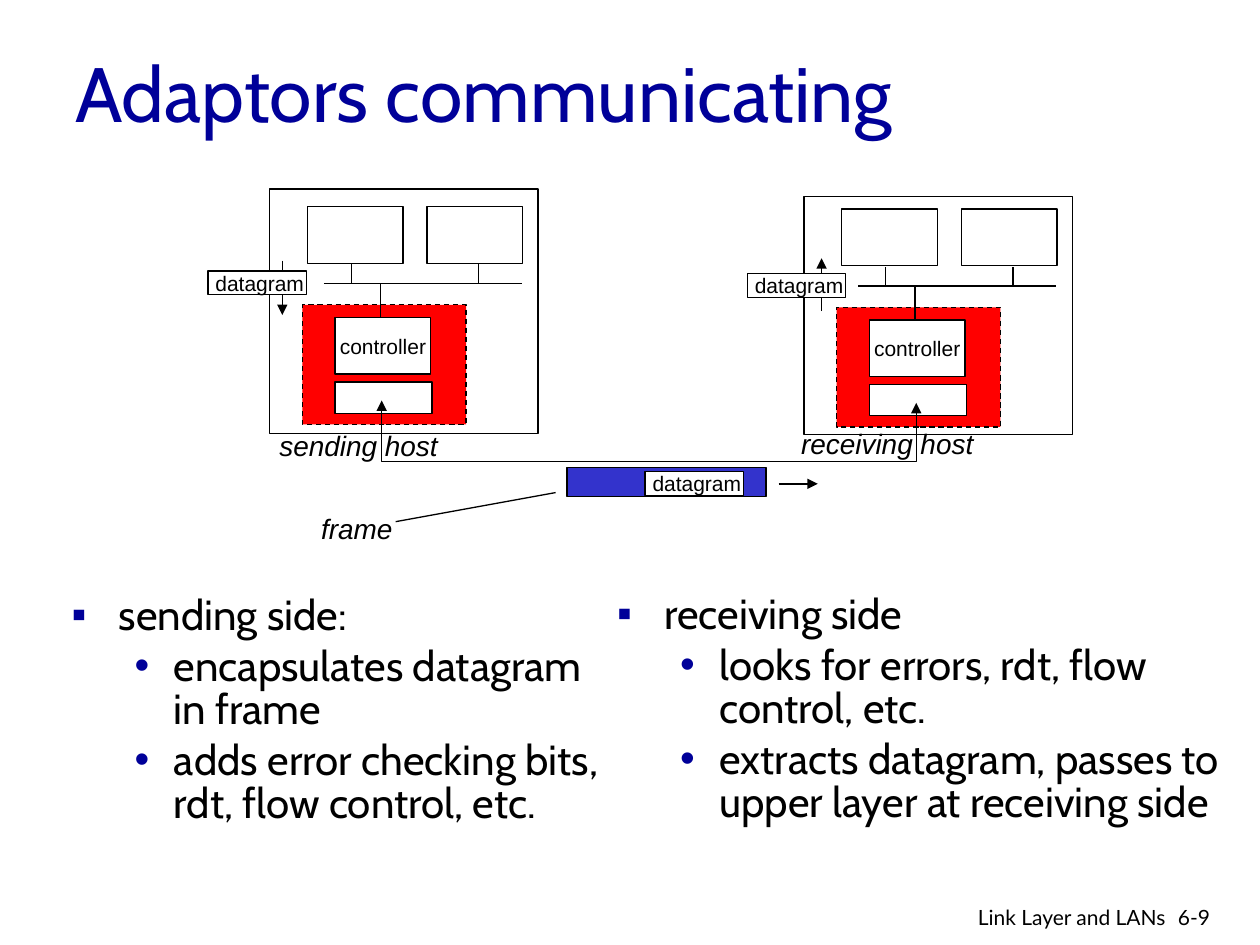
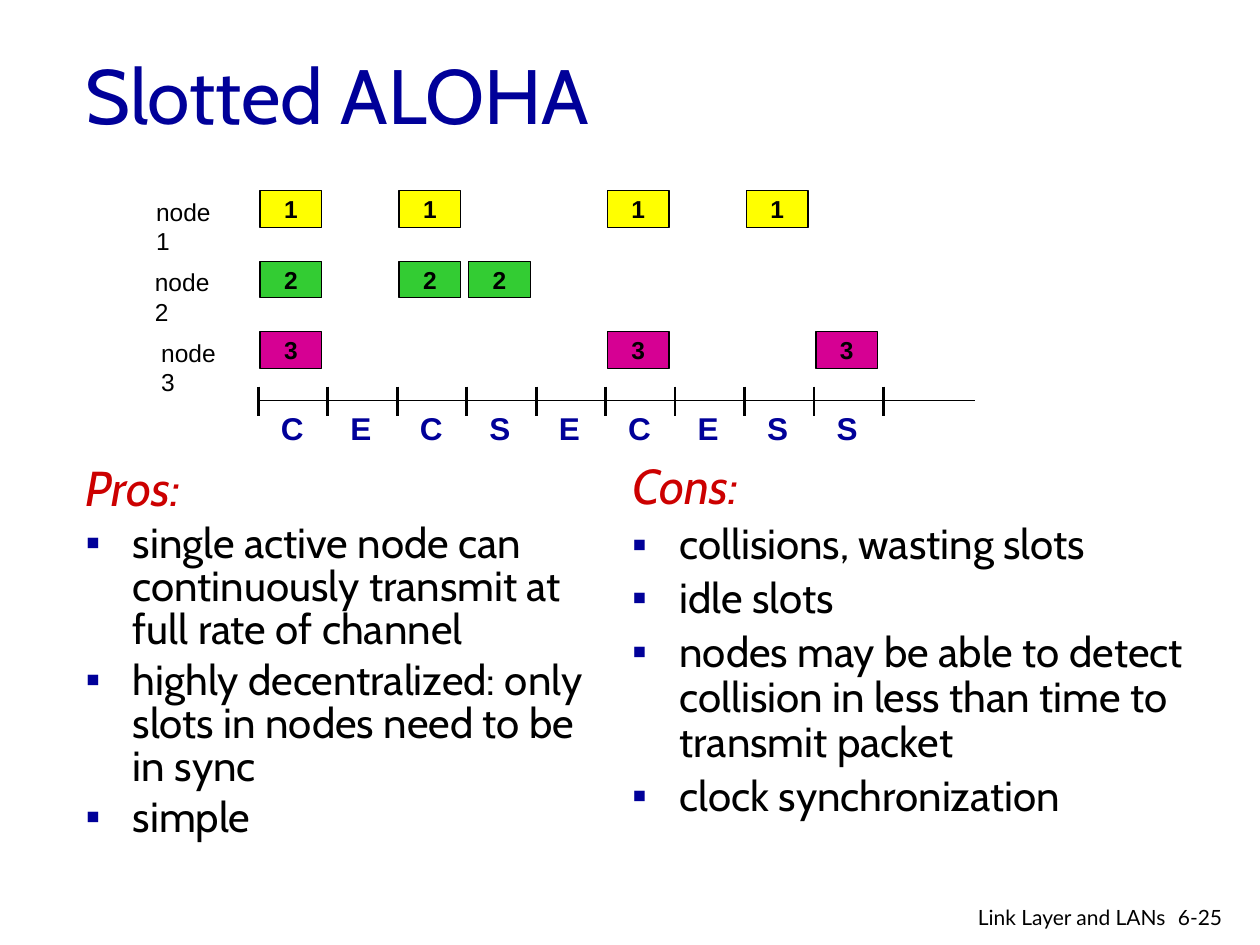
"""Build two link-layer slides: adaptors communicating and slotted ALOHA."""
from dataclasses import dataclass
from typing import Any, NamedTuple, Optional

from lxml import etree
from pptx import Presentation
from pptx.dml.color import RGBColor
from pptx.enum import dml, shapes, text
from pptx.oxml import ns
from pptx.util import Pt

NAVY = RGBColor(0x00, 0x00, 0x99)
BLACK = RGBColor(0x00, 0x00, 0x00)
WHITE = RGBColor(0xFF, 0xFF, 0xFF)
RED = RGBColor(0xFF, 0x00, 0x00)
CRIMSON = RGBColor(0xCC, 0x00, 0x00)
BLUE = RGBColor(0x33, 0x33, 0xCC)
YELLOW = RGBColor(0xFF, 0xFF, 0x00)
GREEN = RGBColor(0x33, 0xCC, 0x33)
MAGENTA = RGBColor(0xD6, 0x00, 0x93)


class Area(NamedTuple):
    """Left, top, width and height in points."""
    left: float
    top: float
    width: float
    height: float


class Look(NamedTuple):
    """Character format of a text."""
    name: str
    size: float
    color: RGBColor = BLACK
    bold: bool = False
    italic: bool = False


TITLE = Look("Cabin", 44, NAVY)
BODY = Look("Cabin", 24)
HEADING = Look("Cabin", 28, CRIMSON, italic=True)
FOOTER = Look("Lato", 12)
SMALL = Look("Arial", 12)
LABEL = Look("Arial", 16, italic=True)
NODE_NAME = Look("Arial", 14)
FRAME_NUMBER = Look("Arial", 14, bold=True)
OUTCOME = Look("Arial", 18, NAVY, bold=True)


class Level(NamedTuple):
    """Bullet, indents and look of a list level."""
    bullet: Optional[str]
    margin: float
    hanging: float
    look: Look = BODY
    depth: int = 0


HEAD = Level(None, 27, 27, HEADING)
POINT = Level("▪", 27, 27)
SUBPOINT = Level("•", 58.5, 22.5, depth=1)


@dataclass(frozen=True)
class Host:
    """One host with its adaptor, datagram and caption."""
    caption: str
    left: float
    top: float
    case_top: float
    case_height: float
    datagram_left: float
    arrow_start: float
    arrow_end: float
    caption_area: Area


@dataclass(frozen=True)
class Node:
    """A sending node and the slots it transmits in."""
    number: int
    label_left: float
    color: RGBColor
    slots: tuple[int, ...]


HOSTS = (
    Host("sending host", 154.1, 108, 108, 139.7, 118.8, 149, 180,
         Area(152.6, 241.2, 105.1, 26.6)),
    Host("receiving host", 459.4, 109.4, 112.3, 136.1, 427, 177.8, 147.6,
         Area(450.7, 240.5, 113, 26.6)),
)
NODES = (
    Node(1, 82.1, YELLOW, (0, 2, 5, 7)),
    Node(2, 81.4, GREEN, (0, 2, 3)),
    Node(3, 85, MAGENTA, (0, 5, 8)),
)
OUTCOMES = "CECSECESS"
AXIS_LEFT, AXIS_TOP, AXIS_RIGHT, SLOT = 147.6, 229, 557.3, 39.7
ROW_TOP, ROW_PITCH = 109, 40.3


def set_all(target: Any, values: dict[str, Any]) -> None:
    """Set each named attribute of the target."""
    for name, value in values.items():
        setattr(target, name, value)


def set_font(font: Any, look: Look) -> None:
    """Give a font the look."""
    set_all(font, {"name": look.name, "size": Pt(look.size),
                   "bold": look.bold, "italic": look.italic})
    font.color.rgb = look.color


def add_span(para: Any, words: str, look: Look) -> None:
    """Add a run of text to a paragraph."""
    span = para.add_run()
    span.text = words
    set_font(span.font, look)


def add_text(page: Any, area: Area, words: str, look: Look, wrap: bool = False,
             anchor: Any = text.MSO_ANCHOR.TOP, align: Any = text.PP_ALIGN.LEFT) -> None:
    """Add a text box with one paragraph."""
    box = page.shapes.add_textbox(*map(Pt, area))
    size = text.MSO_AUTO_SIZE.NONE if wrap else text.MSO_AUTO_SIZE.SHAPE_TO_FIT_TEXT
    set_all(box.text_frame, {"word_wrap": wrap, "vertical_anchor": anchor, "auto_size": size})
    para = box.text_frame.paragraphs[0]
    para.alignment = align
    add_span(para, words, look)


def add_list(page: Any, area: Area, spacing: float, items: list[tuple[Level, str]]) -> None:
    """Add a text box with a bulleted list."""
    frame = page.shapes.add_textbox(*map(Pt, area)).text_frame
    frame.word_wrap = True
    for index, (level, words) in enumerate(items):
        para = frame.add_paragraph() if index else frame.paragraphs[0]
        properties = para._p.get_or_add_pPr()
        properties.set("marL", str(Pt(level.margin)))
        properties.set("indent", str(-Pt(level.hanging)))
        if level.bullet:
            color = etree.SubElement(properties, ns.qn("a:buClr"))
            etree.SubElement(color, ns.qn("a:srgbClr"), val=str(NAVY))
            etree.SubElement(properties, ns.qn("a:buFont"), typeface="Arial")
            etree.SubElement(properties, ns.qn("a:buChar"), char=level.bullet)
        set_all(para, {"level": level.depth, "line_spacing": spacing,
                       "space_before": Pt(level.look.size * 0.2 if index else 0)})
        add_span(para, words, level.look)


def set_line(shape: Any, width: float = 0.75, head: bool = False, tail: bool = False) -> None:
    """Give a shape or connector a black line with optional arrowheads."""
    shape.line.color.rgb = BLACK
    shape.line.width = Pt(width)
    outline = shape._element.spPr.find(ns.qn("a:ln"))
    for wanted, tag in ((head, "a:headEnd"), (tail, "a:tailEnd")):
        if wanted:
            etree.SubElement(outline, ns.qn(tag), type="triangle")


def add_box(page: Any, area: Area, fill: RGBColor = WHITE, words: str = "",
            look: Look = SMALL, inset: float = 0) -> Any:
    """Add an outlined rectangle, with centred words if given."""
    box = page.shapes.add_shape(shapes.MSO_SHAPE.RECTANGLE, *map(Pt, area))
    box.shadow.inherit = False
    box.fill.solid()
    box.fill.fore_color.rgb = fill
    set_line(box)
    if words:
        set_all(box.text_frame, {
            "word_wrap": False, "vertical_anchor": text.MSO_ANCHOR.MIDDLE,
            "margin_left": Pt(inset), "margin_right": 0, "margin_top": 0, "margin_bottom": 0})
        para = box.text_frame.paragraphs[0]
        para.alignment = text.PP_ALIGN.CENTER
        add_span(para, words, look)
    return box


def add_line(page: Any, x1: float, y1: float, x2: float, y2: float,
             width: float = 0.75, arrow: bool = False) -> None:
    """Add a straight line, with an arrowhead at its end if asked."""
    line = page.shapes.add_connector(shapes.MSO_CONNECTOR.STRAIGHT, *map(Pt, (x1, y1, x2, y2)))
    set_line(line, width, tail=arrow)
    etree.SubElement(line._element.spPr, ns.qn("a:effectLst"))


def add_datagram(page: Any, left: float, top: float) -> None:
    """Add a datagram box."""
    add_box(page, Area(left, top, 56.2, 13.7), words="datagram", inset=3)


def add_page(deck: Any, title: str, area: Area, number: str) -> Any:
    """Add a blank slide with its title and footer."""
    page = deck.slides.add_slide(deck.slide_layouts[6])
    add_text(page, area, title, TITLE, True, text.MSO_ANCHOR.MIDDLE)
    add_text(page, Area(666, 513.4, 43.2, 21.6), number, FOOTER, True)
    add_text(page, Area(501.8, 513.4, 171.4, 18.7), "Link Layer and LANs", FOOTER, True,
             align=text.PP_ALIGN.RIGHT)
    return page


def add_host(page: Any, host: Host) -> None:
    """Draw a host with its bus, adaptor, datagram and caption."""
    left, top = host.left, host.top
    bus = top + 54
    add_box(page, Area(left, host.case_top, 153.4, host.case_height))
    arrow_left = host.datagram_left + 42.5
    add_line(page, arrow_left, host.arrow_start, arrow_left, host.arrow_end, arrow=True)
    adaptor = add_box(page, Area(left + 18.7, top + 66.2, 93.6, 68.4), RED)
    adaptor.line.dash_style = dml.MSO_LINE.DASH
    add_box(page, Area(left + 37.4, top + 110.2, 55.4, 18))
    add_box(page, Area(left + 37.4, top + 73.4, 54.7, 32.4), words="controller")
    add_line(page, left + 31, bus, left + 144, bus)
    add_line(page, left + 63.4, top + 73.4, left + 63.4, bus)
    for unit_left, stub_left in ((21.6, 46.8), (90, 119.5)):
        add_box(page, Area(left + unit_left, top + 10.1, 54.7, 32.4))
        add_line(page, left + stub_left, bus, left + stub_left, top + 43)
    add_text(page, host.caption_area, host.caption, LABEL)
    add_datagram(page, host.datagram_left, top + 46.8)


def add_adaptors(deck: Any) -> None:
    """Build the slide on adaptors communicating."""
    page = add_page(deck, "Adaptors communicating", Area(36, 7.2, 612, 90), "6-9")
    add_list(page, Area(33.8, 337, 320.4, 152.6), 0.85, [
        (POINT, "sending side:"),
        (SUBPOINT, "encapsulates datagram in frame"),
        (SUBPOINT, "adds error checking bits, rdt, flow control, etc."),
    ])
    add_list(page, Area(345.6, 336.5, 363.6, 145.4), 0.85, [
        (POINT, "receiving side"),
        (SUBPOINT, "looks for errors, rdt, flow control, etc."),
        (SUBPOINT, "extracts datagram, passes to upper layer at receiving side"),
    ])
    for host in HOSTS:
        add_host(page, host)
    builder = page.shapes.build_freeform(Pt(218.1), Pt(228.8))
    corners = ((218.1, 263.7), (523.6, 263.7), (523.6, 230.2))
    builder.add_line_segments([(Pt(x), Pt(y)) for x, y in corners], close=False)
    cable = builder.convert_to_shape()
    cable.shadow.inherit = False
    cable.fill.background()
    set_line(cable, head=True, tail=True)
    add_box(page, Area(324, 267.1, 113.8, 16.6), BLUE)
    add_datagram(page, 368.6, 269.3)
    add_line(page, 445, 276.5, 467.3, 276.5, arrow=True)
    add_text(page, Area(176.4, 288.7, 55.4, 26.6), "frame", LABEL)
    add_line(page, 226.1, 298.1, 317.5, 281.5)


def add_aloha(deck: Any) -> None:
    """Build the slide on slotted ALOHA."""
    page = add_page(deck, "Slotted ALOHA", Area(41.8, 8.6, 390.2, 90), "6-25")
    add_list(page, Area(41.8, 262.8, 310.3, 252), 0.85, [
        (HEAD, "Pros:"),
        (POINT, "single active node can continuously transmit at full rate of channel"),
        (POINT, "highly decentralized: only slots in nodes need to be in sync"),
        (POINT, "simple"),
    ])
    add_list(page, Area(354.2, 260.6, 337.7, 252), 0.9, [
        (HEAD, "Cons:"),
        (POINT, "collisions, wasting slots"),
        (POINT, "idle slots"),
        (POINT, "nodes may be able to detect collision in less than time to transmit packet"),
        (POINT, "clock synchronization"),
    ])
    for row, node in enumerate(NODES):
        top = ROW_TOP + row * ROW_PITCH
        add_text(page, Area(node.label_left, top, 56.9, 23.8), f"node {node.number}", NODE_NAME)
        for slot in node.slots:
            area = Area(AXIS_LEFT + slot * SLOT + 1, top, 35.3, 20.9)
            add_box(page, area, node.color, str(node.number), FRAME_NUMBER)
    add_line(page, AXIS_LEFT, AXIS_TOP, AXIS_RIGHT, AXIS_TOP)
    for tick in range(len(OUTCOMES) + 1):
        left = AXIS_LEFT + tick * SLOT
        add_line(page, left, AXIS_TOP - 8, left, AXIS_TOP + 9, width=1.5)
    for slot, letter in enumerate(OUTCOMES):
        area = Area(AXIS_LEFT + slot * SLOT + 5.8, AXIS_TOP + 1, 27, 28.8)
        add_text(page, area, letter, OUTCOME)


def main() -> None:
    """Build and save the deck."""
    deck = Presentation()
    set_all(deck, {"slide_width": Pt(720), "slide_height": Pt(540)})
    add_adaptors(deck)
    add_aloha(deck)
    deck.save("out.pptx")


if __name__ == "__main__":
    main()
